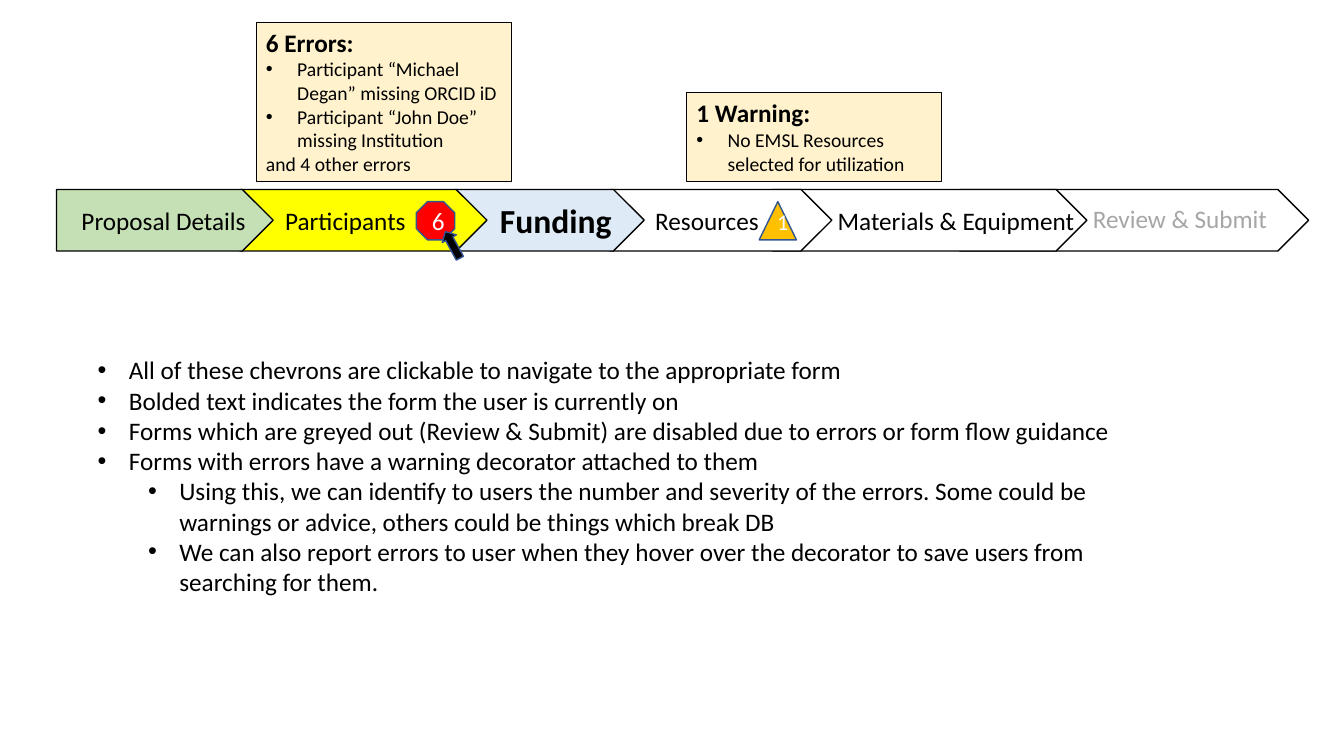
from lxml import etree
from pptx import Presentation
from pptx.dml.color import RGBColor
from pptx.enum.shapes import MSO_SHAPE
from pptx.enum.text import MSO_ANCHOR, MSO_AUTO_SIZE, PP_ALIGN
from pptx.oxml.ns import qn
from pptx.util import Inches, Pt

COLORS = {
    "black": "000000", "white": "FFFFFF", "grey": "A6A6A6", "green": "C5E0B4",
    "yellow": "FFFF00", "blue": "DEEBF7", "red": "FF0000", "amber": "FFC000",
    "cream": "FFF2CC", "navy": "325491",
}


def add_box(kind, box, fill, line="black", width=1):
    sp = s.shapes.add_shape(kind, *map(Inches, box))
    sp.shadow.inherit = False
    if fill:
        sp.fill.solid()
        sp.fill.fore_color.rgb = RGBColor.from_string(COLORS[fill])
    else:
        sp.fill.background()
    sp.line.color.rgb = RGBColor.from_string(COLORS[line])
    sp.line.width = Pt(width)
    return sp


def write(p, text, size, color="black", bold=False, indent=None, align=PP_ALIGN.LEFT):
    p.alignment = align
    if indent is not None:
        pPr = p._p.get_or_add_pPr()
        pPr.set("marL", str(Inches(indent)))
        pPr.set("indent", str(Inches(-0.31)))
        etree.SubElement(pPr, qn("a:buFont")).set("typeface", "Arial")
        etree.SubElement(pPr, qn("a:buChar")).set("char", "•")
    r = p.add_run()
    r.text = text
    for name, value in {"name": "Calibri", "size": Pt(size), "bold": bold}.items():
        setattr(r.font, name, value)
    r.font.color.rgb = RGBColor.from_string(COLORS[color])


prs = Presentation()
prs.slide_width, prs.slide_height = Inches(13.33), Inches(7.5)
s = prs.slides.add_slide(prs.slide_layouts[6])

# Chevrons: each overlaps the one to its right
chevrons = [
    (0.56, 2.15, "green"), (2.38, 2.45, "yellow"), (4.51, 1.88, "blue"),
    (6.05, 2.2, "white"), (7.66, 3.12, "white"), (9.52, 3.46, None),
]
for left, width, fill in reversed(chevrons):
    add_box(MSO_SHAPE.PENTAGON, (left, 1.88, width, 0.61), fill)

# Chevron labels, the current form in bold
labels = [
    ("Proposal Details", 0.71, 1.99, 1.85, 18, "black"),
    ("Participants", 2.73, 1.99, 1.41, 18, "black"),
    ("Funding", 4.86, 1.93, 1.32, 24, "black"),
    ("Resources", 6.4, 1.99, 1.24, 18, "black"),
    ("Materials & Equipment", 8.21, 1.99, 2.57, 18, "black"),
    ("Review & Submit", 10.74, 1.97, 1.95, 18, "grey"),
]
for text, left, top, width, size, color in labels:
    height = 0.5 if size == 24 else 0.4
    tf = s.shapes.add_textbox(*map(Inches, (left, top, width, height))).text_frame
    tf.word_wrap = False
    tf.auto_size = MSO_AUTO_SIZE.SHAPE_TO_FIT_TEXT
    write(tf.paragraphs[0], text, size, color, bold=size == 24)

# Error and warning decorators
decorators = [
    (MSO_SHAPE.OCTAGON, (4.13, 2, 0.38, 0.38), "red", "6", 18, MSO_ANCHOR.MIDDLE),
    (MSO_SHAPE.ISOSCELES_TRIANGLE, (7.53, 2, 0.37, 0.38), "amber", "1", 16, MSO_ANCHOR.BOTTOM),
]
for kind, box, fill, count, size, anchor in decorators:
    tf = add_box(kind, box, fill, "navy").text_frame
    tf.vertical_anchor = anchor
    write(tf.paragraphs[0], count, size, "white", align=PP_ALIGN.CENTER)

# Mouse pointer
pointer = add_box(MSO_SHAPE.UP_ARROW, (4.41, 2.28, 0.16, 0.3), "black", "navy")
pointer.rotation = 331.5

# Hover callouts: title, bulleted lines, closing line
callouts = [
    ((2.54, 0.22, 2.53, 1.58), "6 Errors:",
     ["Participant “Michael Degan” missing ORCID iD",
      "Participant “John Doe” missing Institution"], "and 4 other errors"),
    ((6.81, 0.92, 2.53, 0.88), "1 Warning:",
     ["No EMSL Resources selected for utilization"], None),
]
for box, title, items, closing in callouts:
    tf = add_box(MSO_SHAPE.RECTANGLE, box, "cream", width=0.75).text_frame
    tf.word_wrap = True
    tf.auto_size = MSO_AUTO_SIZE.SHAPE_TO_FIT_TEXT
    tf.vertical_anchor = MSO_ANCHOR.TOP
    write(tf.paragraphs[0], title, 18, bold=True)
    for item in items:
        write(tf.add_paragraph(), item, 14, indent=0.31)
    if closing:
        write(tf.add_paragraph(), closing, 14)

# Explanation
notes = [
    (0, "All of these chevrons are clickable to navigate to the appropriate form"),
    (0, "Bolded text indicates the form the user is currently on"),
    (0, "Forms which are greyed out (Review & Submit) are disabled due to errors or form flow guidance"),
    (0, "Forms with errors have a warning decorator attached to them"),
    (1, "Using this, we can identify to users the number and severity of the errors. "
        "Some could be warnings or advice, others could be things which break DB"),
    (1, "We can also report errors to user when they hover over the decorator "
        "to save users from searching for them."),
]
tf = s.shapes.add_textbox(*map(Inches, (0.87, 3.47, 10.29, 2.83))).text_frame
tf.word_wrap = True
for i, (level, text) in enumerate(notes):
    p = tf.add_paragraph() if i else tf.paragraphs[0]
    p.level = level
    write(p, text, 18, indent=0.31 + 0.5 * level)

prs.save("out.pptx")
